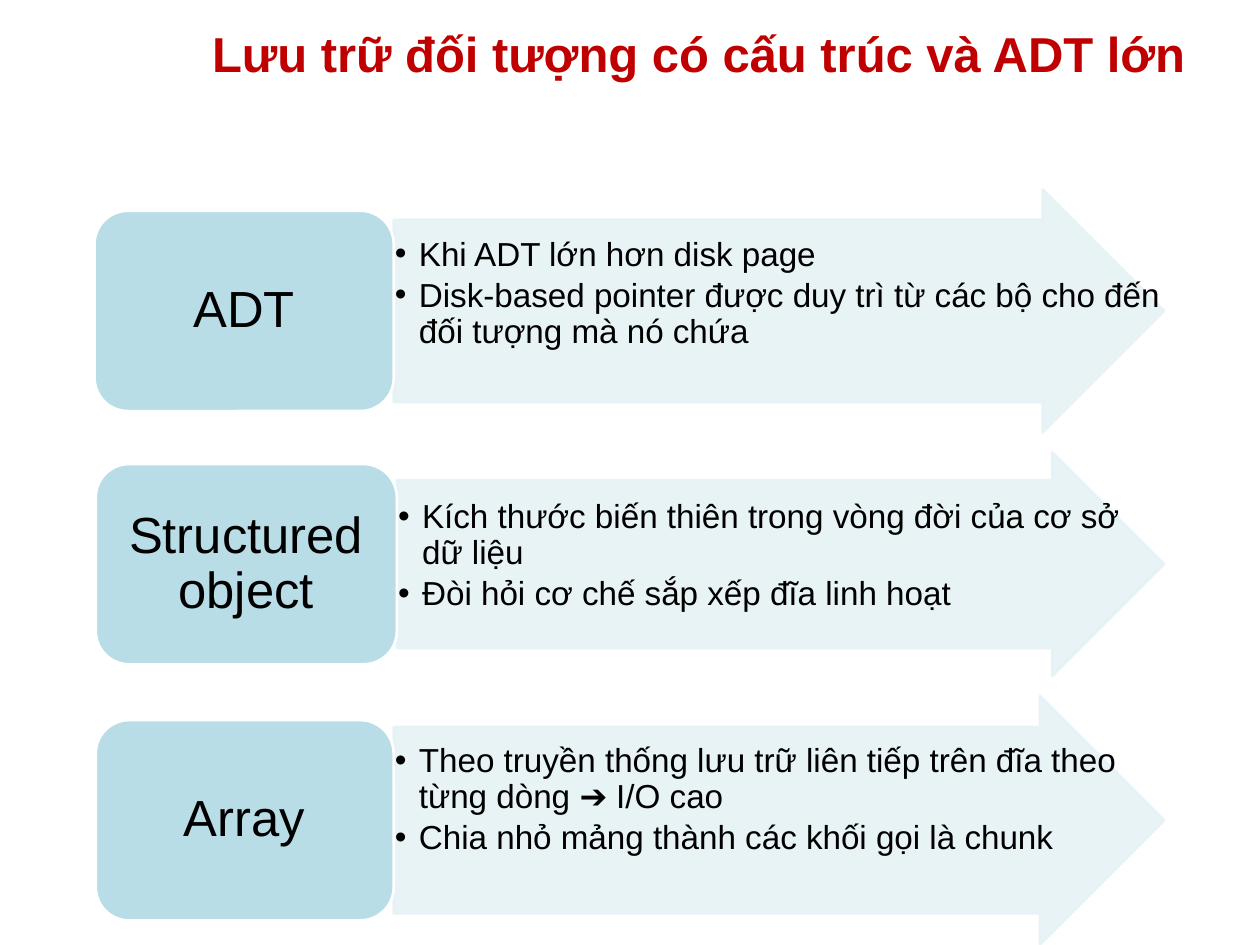
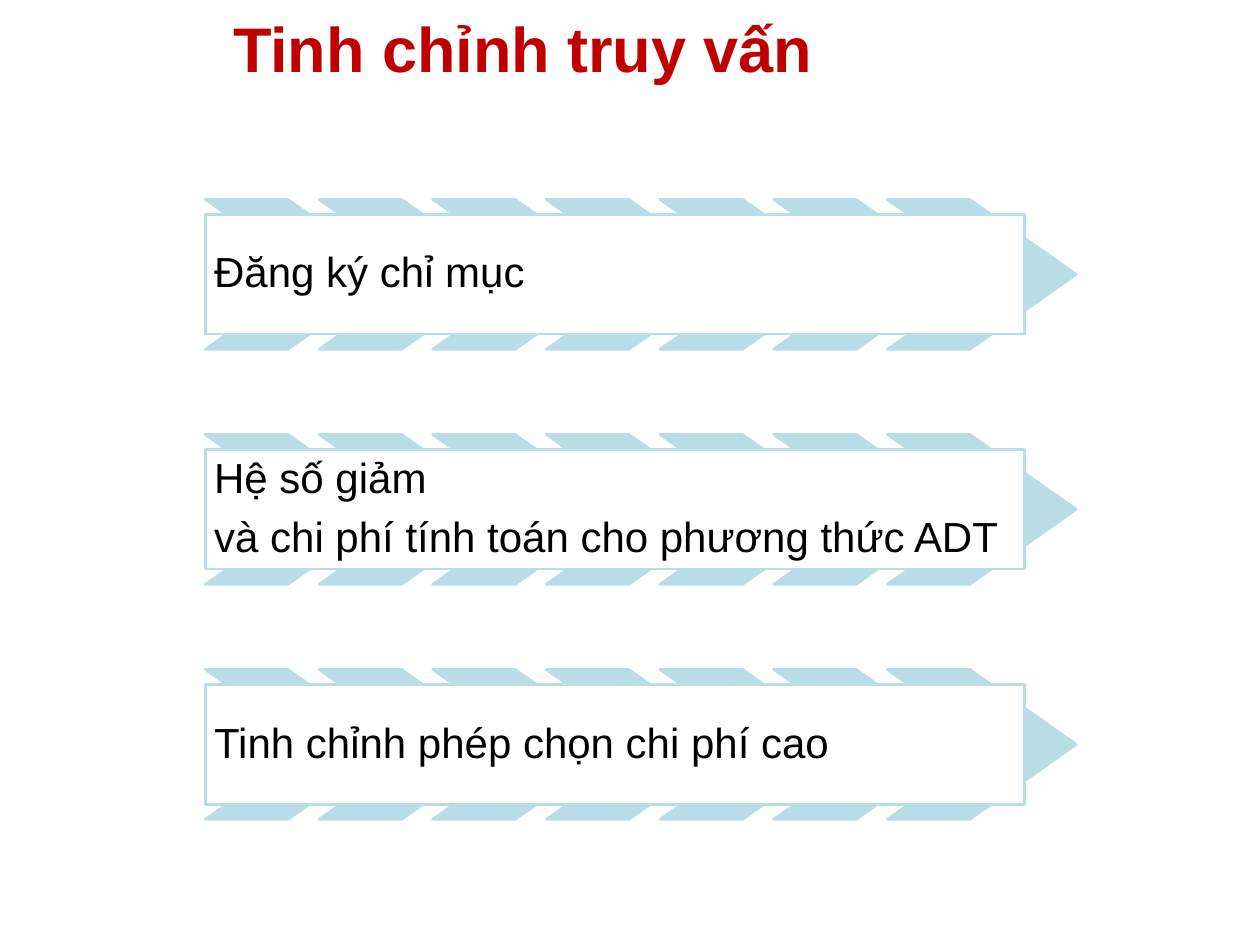
from dataclasses import dataclass
from lxml.etree import SubElement
from pptx import Presentation
from pptx.dml.color import RGBColor
from pptx.enum.shapes import MSO_SHAPE
from pptx.enum.text import MSO_ANCHOR, MSO_AUTO_SIZE, PP_ALIGN
from pptx.oxml.ns import qn
from pptx.util import Emu, Inches, Pt

WIDE, HIGH = Inches(10), Inches(7.5)
FONT = "Arial"
HUES = {
    "title": "C00000",
    "text": "000000",
    "card": "B8DDE7",
    "arrow": "E6F2F6",
    "paper": "FFFFFF",
}


@dataclass(frozen=True)
class Box:
    """Place and size as percent of the slide."""

    left: float
    top: float
    wide: float
    high: float

    def spans(self) -> tuple[Emu, Emu, Emu, Emu]:
        return (Emu(round(WIDE * self.left / 100)), Emu(round(HIGH * self.top / 100)),
                Emu(round(WIDE * self.wide / 100)), Emu(round(HIGH * self.high / 100)))


@dataclass(frozen=True)
class Style:
    size: float
    hue: str = "text"
    bold: bool = False
    align: PP_ALIGN = PP_ALIGN.LEFT
    lines: float | Pt = 0.9
    after: float = 0


@dataclass(frozen=True)
class Topic:
    name: str
    left: float
    split: float
    mid: float
    tall: float
    points: tuple[str, ...]


@dataclass(frozen=True)
class Step:
    lines: tuple[str, ...]
    pitch: float | Pt = 0.9


TOPICS = (
    Topic("ADT", 7.5, 31.25, 32.9, 25.7,
          ("Khi ADT lớn hơn disk page",
           "Disk-based pointer được duy trì từ các bộ cho đến đối tượng mà nó chứa")),
    Topic("Structured object", 7.6, 31.5, 59.7, 23.7,
          ("Kích thước biến thiên trong vòng đời của cơ sở dữ liệu",
           "Đòi hỏi cơ chế sắp xếp đĩa linh hoạt")),
    Topic("Array", 7.6, 31.25, 86.8, 26.3,
          ("Theo truyền thống lưu trữ liên tiếp trên đĩa theo từng dòng ➔ I/O cao",
           "Chia nhỏ mảng thành các khối gọi là chunk")),
)
STEPS = (
    Step(("Đăng ký chỉ mục",)),
    Step(("Hệ số giảm", "và chi phí tính toán cho phương thức ADT"), Pt(25)),
    Step(("Tinh chỉnh phép chọn chi phí cao",)),
)
CARD_HIGH = 21.2
ARROW_END = 92.4
STEP_LEFT, STEP_TOP, STEP_GAP = 16.3, 21.1, 24.87
CHEVRONS, CHEVRON_GAP = 7, 9.02
CHEVRON_WIDE, CHEVRON_HIGH = 15, 15.87
PANEL_WIDE, PANEL_HIGH = 65, 12.67


def tint(name: str) -> RGBColor:
    return RGBColor.from_string(HUES[name])


def write(frame, texts: tuple[str, ...], style: Style) -> None:
    frame.word_wrap = True
    frame.auto_size = MSO_AUTO_SIZE.NONE
    for spot, text in enumerate(texts):
        para = frame.add_paragraph() if spot else frame.paragraphs[0]
        para.alignment = style.align
        para.line_spacing = style.lines
        para.space_after = Pt(style.after)
        run = para.add_run()
        run.text = text
        font = run.font
        font.name, font.size, font.bold = FONT, Pt(style.size), style.bold
        font.color.rgb = tint(style.hue)


def inset(frame, side: float, top: float, base: float) -> None:
    frame.margin_left = frame.margin_right = Inches(side)
    frame.margin_top, frame.margin_bottom = Inches(top), Inches(base)


def bullet(frame) -> None:
    for para in frame.paragraphs:
        props = para._p.get_or_add_pPr()
        props.set("marL", str(Inches(0.19)))
        props.set("indent", str(-Inches(0.19)))
        SubElement(props, qn("a:buFont"), typeface=FONT)
        SubElement(props, qn("a:buChar"), char="•")


def draw(slide, kind: MSO_SHAPE, box: Box, fill: str, edge: str):
    shape = slide.shapes.add_shape(kind, *box.spans())
    shape.shadow.inherit = False
    shape.fill.solid()
    shape.fill.fore_color.rgb = tint(fill)
    shape.line.color.rgb = tint(edge)
    shape.line.width = Pt(1.5)
    return shape


def fade(shape, share: int) -> None:
    for hue in shape._element.spPr.iter(qn("a:srgbClr")):
        SubElement(hue, qn("a:alpha"), val=str(share * 1000))


def start(deck, text: str, box: Box, size: float, align: PP_ALIGN):
    slide = deck.slides.add_slide(deck.slide_layouts[5])
    title = slide.shapes.title
    title.left, title.top, title.width, title.height = box.spans()
    title.text_frame.vertical_anchor = MSO_ANCHOR.MIDDLE
    write(title.text_frame, (text,), Style(size, "title", True, align, 1.0))
    return slide


def add_topic(slide, topic: Topic) -> None:
    box = Box(topic.split, topic.mid - topic.tall / 2,
              ARROW_END - topic.split, topic.tall)
    arrow = draw(slide, MSO_SHAPE.RIGHT_ARROW, box, "arrow", "arrow")
    arrow.adjustments[0], arrow.adjustments[1] = 0.75, 0.5
    fade(arrow, 90)
    frame = slide.shapes.add_textbox(*box.spans()).text_frame
    inset(frame, 0.01, 0.38, 0.01)
    write(frame, topic.points, Style(19, after=3))
    bullet(frame)

    place = Box(topic.left, topic.mid - CARD_HIGH / 2,
                topic.split - topic.left, CARD_HIGH)
    card = draw(slide, MSO_SHAPE.ROUNDED_RECTANGLE, place, "card", "paper")
    card.text_frame.vertical_anchor = MSO_ANCHOR.MIDDLE
    inset(card.text_frame, 0.12, 0.06, 0.06)
    write(card.text_frame, (topic.name,), Style(29, align=PP_ALIGN.CENTER))


def add_step(slide, step: Step, top: float) -> None:
    for spot in range(CHEVRONS):
        box = Box(STEP_LEFT + spot * CHEVRON_GAP, top, CHEVRON_WIDE, CHEVRON_HIGH)
        chevron = draw(slide, MSO_SHAPE.CHEVRON, box, "card", "card")
        chevron.adjustments[0] = 0.71
    box = Box(STEP_LEFT, top + (CHEVRON_HIGH - PANEL_HIGH) / 2, PANEL_WIDE, PANEL_HIGH)
    panel = draw(slide, MSO_SHAPE.RECTANGLE, box, "paper", "card")
    panel.text_frame.vertical_anchor = MSO_ANCHOR.MIDDLE
    inset(panel.text_frame, 0.07, 0.07, 0.07)
    write(panel.text_frame, step.lines, Style(24, lines=step.pitch, after=8.4))


def main() -> None:
    deck = Presentation()
    deck.slide_width, deck.slide_height = WIDE, HIGH

    slide = start(deck, "Lưu trữ đối tượng có cấu trúc và ADT lớn",
                  Box(6.7, -4.4, 97.5, 20), 28, PP_ALIGN.CENTER)
    for topic in TOPICS:
        add_topic(slide, topic)

    slide = start(deck, "Tinh chỉnh truy vấn",
                  Box(17.5, -3.33, 51.7, 16.67), 36, PP_ALIGN.LEFT)
    for spot, step in enumerate(STEPS):
        add_step(slide, step, STEP_TOP + spot * STEP_GAP)

    deck.save("out.pptx")


if __name__ == "__main__":
    main()
